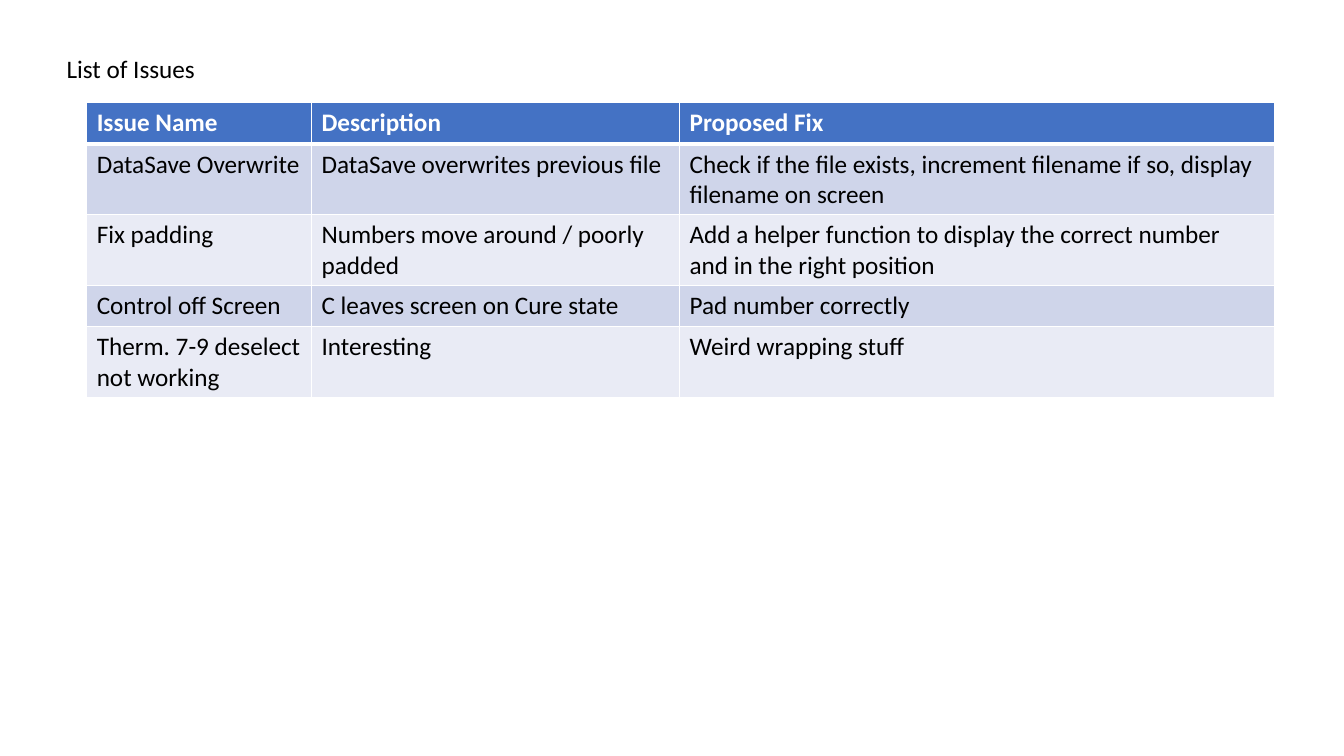
from lxml.etree import SubElement
from pptx import Presentation
from pptx.dml.color import RGBColor
from pptx.enum.text import MSO_ANCHOR as Anchor, MSO_AUTO_SIZE as AutoSize, PP_ALIGN as Align
from pptx.oxml.ns import qn
from pptx.util import Inches, Pt

COLORS = {
    "text": "000000",
    "white": "FFFFFF",
    "header": "4472C4",
    "odd_row": "CFD5EA",
    "even_row": "E9EBF5",
}
BODY_FONT = {"name": "Calibri", "size": Pt(18), "bold": False}
HEADER_FONT = {**BODY_FONT, "bold": True}
COLUMN_WIDTHS = [2.23, 3.65, 5.9]
ROW_HEIGHT = 0.41
ISSUES = [
    ["Issue Name", "Description", "Proposed Fix"],
    ["DataSave Overwrite", "DataSave overwrites previous file",
     "Check if the file exists, increment filename if so, display filename on screen"],
    ["Fix padding", "Numbers move around / poorly padded",
     "Add a helper function to display the correct number and in the right position"],
    ["Control off Screen", "C leaves screen on Cure state", "Pad number correctly"],
    ["Therm. 7-9 deselect not working", "Interesting", "Weird wrapping stuff"],
]


def apply_format(target, values):
    for name, value in values.items():
        setattr(target, name, value)


def write_text(text_frame, text, font_format, color):
    paragraph = text_frame.paragraphs[0]
    paragraph.alignment = Align.LEFT
    run = paragraph.add_run()
    run.text = text
    apply_format(run.font, font_format)
    run.font.color.rgb = RGBColor.from_string(COLORS[color])


def add_title(slide, text):
    title = slide.shapes.title
    apply_format(title, {"left": Inches(0.56), "top": Inches(0.48),
                         "width": Inches(2.52), "height": Inches(0.4)})
    apply_format(title.text_frame, {"word_wrap": True, "vertical_anchor": Anchor.TOP,
                                    "auto_size": AutoSize.SHAPE_TO_FIT_TEXT})
    write_text(title.text_frame, text, BODY_FONT, "text")


def set_borders(cell, widths):
    properties = cell._tc.get_or_add_tcPr()
    for side, width in widths.items():
        line = SubElement(properties, qn(f"a:ln{side}"), w=str(Pt(width)))
        fill = SubElement(line, qn("a:solidFill"))
        SubElement(fill, qn("a:srgbClr"), val=COLORS["white"])


def format_cell(cell, text, row_index):
    is_header = row_index == 0
    top = 3 if row_index == 1 else 1
    bottom = 3 if is_header else 1
    set_borders(cell, {"L": 1, "R": 1, "T": top, "B": bottom})
    if is_header:
        fill_color, font_format, font_color = "header", HEADER_FONT, "white"
    else:
        fill_color = "odd_row" if row_index % 2 else "even_row"
        font_format, font_color = BODY_FONT, "text"
    cell.fill.solid()
    cell.fill.fore_color.rgb = RGBColor.from_string(COLORS[fill_color])
    write_text(cell.text_frame, text, font_format, font_color)


def add_issue_table(slide, rows):
    table = slide.shapes.add_table(
        len(rows), len(COLUMN_WIDTHS), Inches(0.86), Inches(1.02),
        Inches(sum(COLUMN_WIDTHS)), Inches(ROW_HEIGHT * len(rows))).table
    for column, width in zip(table.columns, COLUMN_WIDTHS):
        column.width = Inches(width)
    for row_index, row in enumerate(rows):
        for column_index, text in enumerate(row):
            format_cell(table.cell(row_index, column_index), text, row_index)


def main():
    presentation = Presentation()
    apply_format(presentation, {"slide_width": Inches(13.33), "slide_height": Inches(7.5)})
    slide = presentation.slides.add_slide(presentation.slide_layouts.get_by_name("Title Only"))
    add_title(slide, "List of Issues")
    add_issue_table(slide, ISSUES)
    presentation.save("out.pptx")


main()
